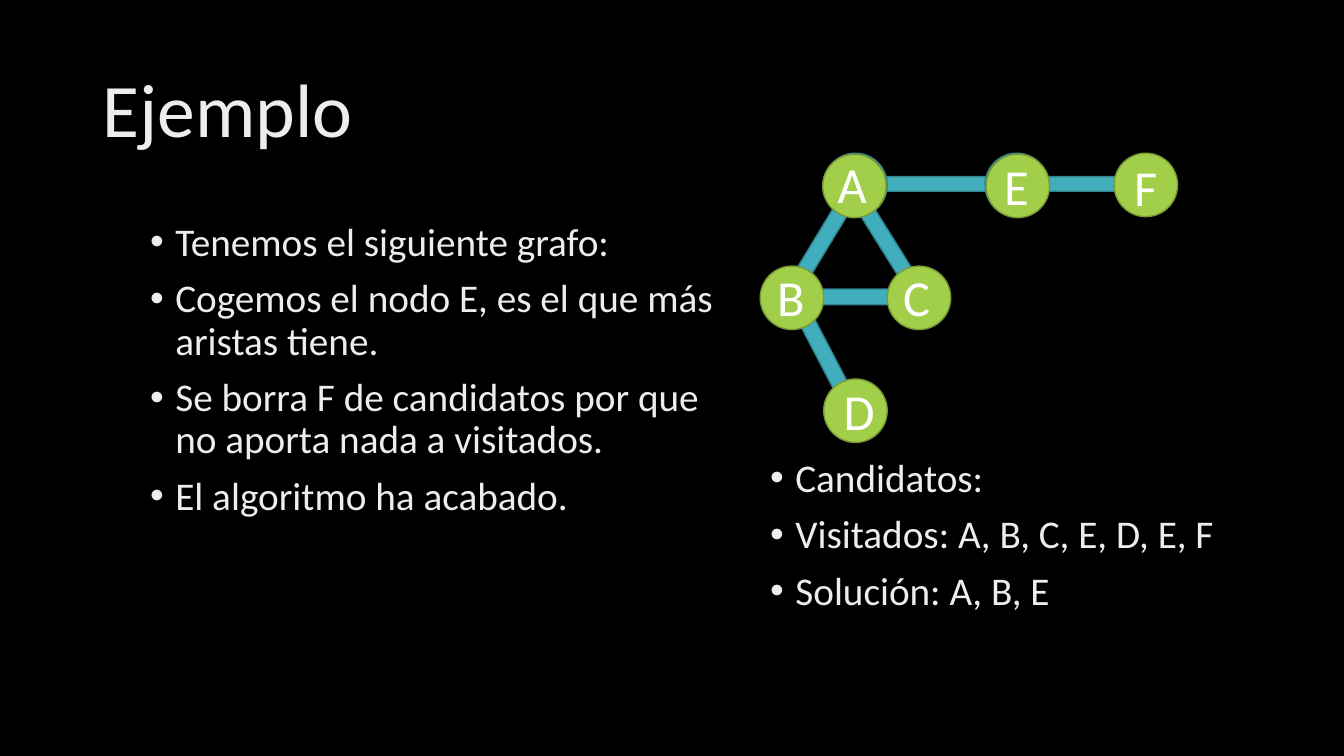
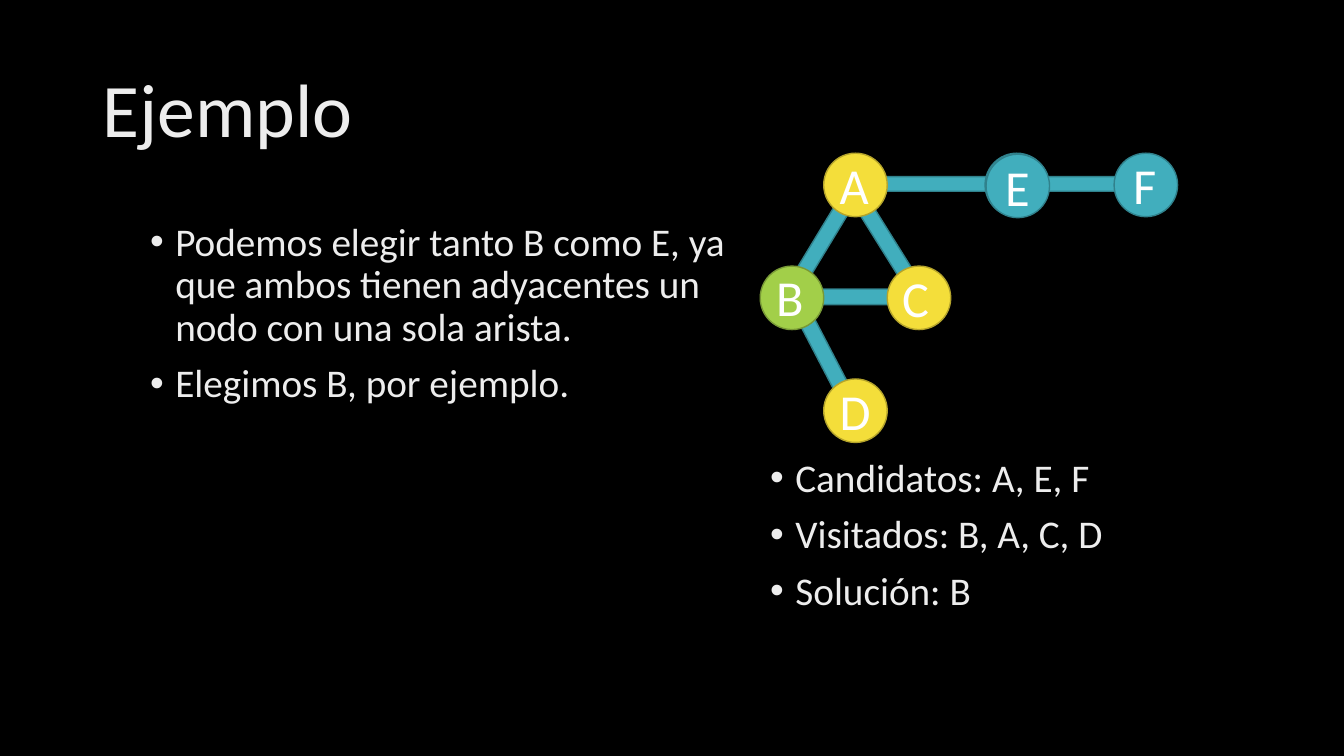
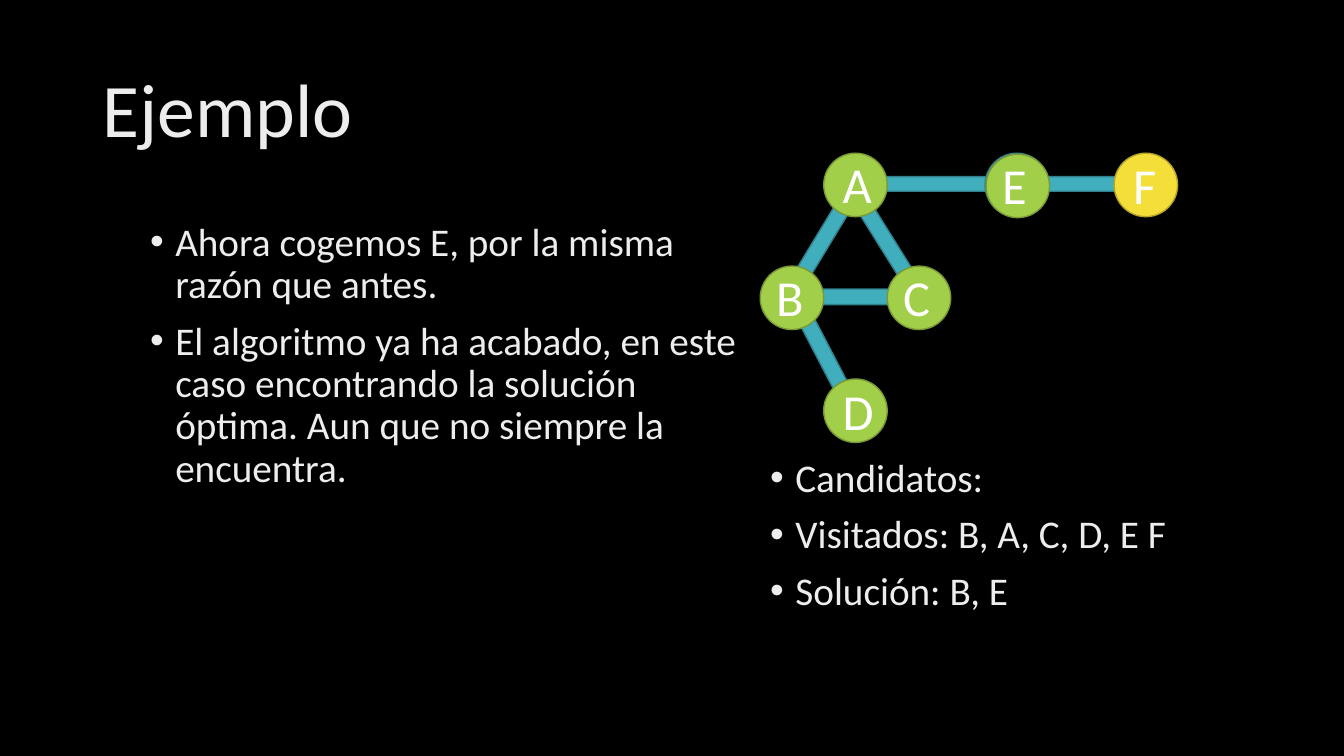
"""Builds three slides that walk through a vertex cover example on a graph."""
from pptx import Presentation, util as u
from pptx.dml.color import RGBColor
from pptx.enum import shapes, text
from pptx.oxml.ns import qn
from lxml import etree

FONT = "Calibri"
INK = {"back": "000000", "soft": "EDEDED", "white": "FFFFFF"}
TONES = {
    "blue": ("41AEBD", "30818C"),
    "green": ("A2CF49", "789936"),
    "gold": ("F4DE3A", "B5A42B"),
}
SIZE = 0.63
NODES = {
    "A": (8.17, 1.52), "B": (7.54, 2.64), "C": (8.8, 2.64),
    "D": (8.17, 3.76), "E": (9.78, 1.53), "F": (11.05, 1.52),
}
EDGES = [
    (8.08, 2.24, 1.41, 0.31, 58),
    (7.49, 3.4, 1.41, 0.31, 62.5),
    (7.5, 2.16, 1.41, 0.31, 301.2),
    (8.64, 1.68, 2.81, 0.29, 0),
    (7.86, 2.79, 1.41, 0.31, 0),
]
STEPS = [
    {
        "body": ["Tenemos el siguiente grafo:",
                 "Cogemos el nodo E, es el que más aristas tiene.",
                 "Se borra F de candidatos por que no aporta nada a visitados.",
                 "El algoritmo ha acabado."],
        "state": ["Candidatos:", "Visitados: A, B, C, E, D, E, F", "Solución: A, B, E"],
        "rims": [(8.17, 1.52), (9.77, 1.52)],
        "moved": {"A": (8.16, 1.53)},
        "tones": dict.fromkeys("ABCDEF", "green"),
        "marks": {"A": (8.21, 1.47), "B": (7.61, 2.59), "C": (8.86, 2.59),
                  "D": (8.27, 3.72), "E": (9.86, 1.49), "F": (11.15, 1.5)},
    },
    {
        "body": ["Podemos elegir tanto B como E, ya que ambos tienen adyacentes "
                 "un nodo con una sola arista.",
                 "Elegimos B, por ejemplo."],
        "state": ["Candidatos: A, E, F", "Visitados: B, A, C, D", "Solución: B"],
        "rims": [(9.77, 1.52)],
        "moved": {},
        "tones": {"A": "gold", "B": "green", "C": "gold",
                  "D": "gold", "E": "blue", "F": "blue"},
        "marks": {"A": (8.23, 1.48), "B": (7.6, 2.59), "C": (8.85, 2.6),
                  "D": (8.23, 3.72), "E": (9.87, 1.5), "F": (11.14, 1.48)},
    },
    {
        "body": ["Ahora cogemos E, por la misma razón que antes.",
                 "El algoritmo ya ha acabado, en este caso encontrando la solución "
                 "óptima. Aun que no siempre la encuentra."],
        "state": ["Candidatos:", "Visitados: B, A, C, D, E F", "Solución: B, E"],
        "rims": [(9.77, 1.52)],
        "moved": {},
        "tones": {**dict.fromkeys("ABCDE", "green"), "F": "gold"},
        "marks": {"A": (8.26, 1.47), "B": (7.6, 2.59), "C": (8.86, 2.59),
                  "D": (8.26, 3.72), "E": (9.84, 1.48), "F": (11.14, 1.48)},
    },
]


def draw(slide, kind, box, tone):
    """Adds a filled and outlined shape."""
    shape = slide.shapes.add_shape(kind, *map(u.Inches, box))
    fill, edge = TONES[tone]
    shape.shadow.inherit = False
    shape.fill.solid()
    shape.fill.fore_color.rgb = RGBColor.from_string(fill)
    shape.line.color.rgb = RGBColor.from_string(edge)
    shape.line.width = u.Pt(1)
    return shape


def write(frame, lines, size, ink, bullet=False, space=None):
    """Fills a text frame, one paragraph per line."""
    frame.word_wrap = True
    for i, line in enumerate(lines):
        para = frame.add_paragraph() if i else frame.paragraphs[0]
        para.alignment = text.PP_ALIGN.LEFT
        if space:
            para.line_spacing = space
        if bullet:
            para.space_before = u.Pt(10)
            props = para._p.get_or_add_pPr()
            props.set("marL", str(u.Inches(0.25)))
            props.set("indent", str(-u.Inches(0.25)))
            etree.SubElement(props, qn("a:buFont"), typeface="Arial")
            etree.SubElement(props, qn("a:buChar"), char="•")
        run = para.add_run()
        run.text = line
        run.font.name = FONT
        run.font.size = u.Pt(size)
        run.font.color.rgb = RGBColor.from_string(INK[ink])


prs = Presentation()
prs.slide_width, prs.slide_height = u.Inches(13.33), u.Inches(7.5)
back = prs.slide_master.background.fill
back.solid()
back.fore_color.rgb = RGBColor.from_string(INK["back"])

for step in STEPS:
    slide = prs.slides.add_slide(prs.slide_layouts[5])
    title = slide.shapes.title
    title.left, title.top, title.width, title.height = map(u.Inches, (0.92, 0.4, 11.5, 1.45))
    title.text_frame.vertical_anchor = text.MSO_ANCHOR.MIDDLE
    title.text_frame.auto_size = text.MSO_AUTO_SIZE.NONE
    write(title.text_frame, ["Ejemplo"], 54, "soft", space=0.9)

    for *box, turn in EDGES:
        arrow = draw(slide, shapes.MSO_SHAPE.RIGHT_ARROW, box, "blue")
        arrow.rotation = turn
    for spot in step["rims"]:
        draw(slide, shapes.MSO_SHAPE.OVAL, (*spot, SIZE, SIZE), "blue")
    for name, spot in {**NODES, **step["moved"]}.items():
        draw(slide, shapes.MSO_SHAPE.OVAL, (*spot, SIZE, SIZE), step["tones"][name])

    for part, box in (("body", (1.39, 2.16, 6.05, 4.76)), ("state", (7.54, 4.5, 5.79, 3))):
        area = slide.shapes.add_textbox(*map(u.Inches, box))
        write(area.text_frame, step[part], 28, "soft", bullet=True, space=0.9)

    for name, spot in step["marks"].items():
        mark = slide.shapes.add_textbox(*map(u.Inches, (*spot, 0.74, 0.71)))
        mark.text_frame.auto_size = text.MSO_AUTO_SIZE.SHAPE_TO_FIT_TEXT
        write(mark.text_frame, [name], 36, "white")

prs.save("out.pptx")
